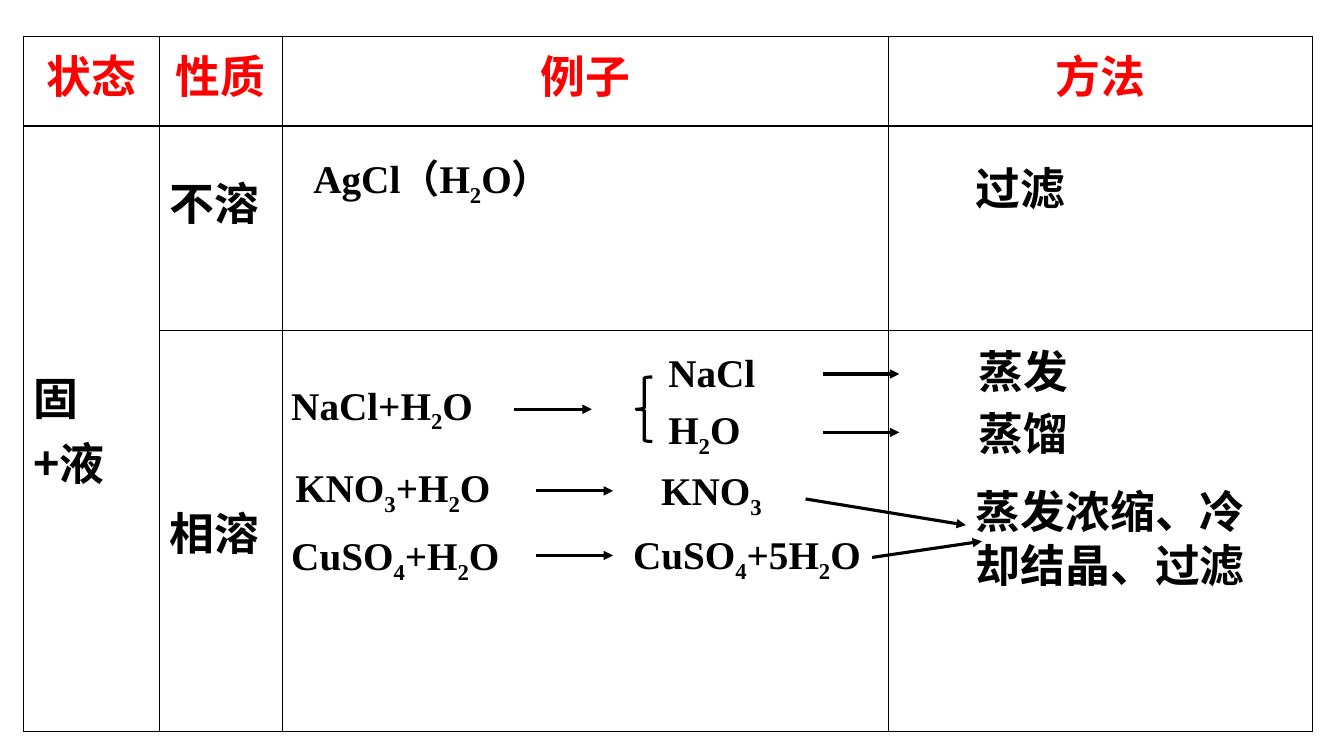
from lxml.etree import SubElement
from pptx import Presentation
from pptx.dml.color import RGBColor
from pptx.enum.shapes import MSO_CONNECTOR, MSO_SHAPE
from pptx.enum.text import MSO_ANCHOR, MSO_AUTO_SIZE, PP_ALIGN
from pptx.oxml.ns import qn
from pptx.util import Inches, Pt

BLACK = RGBColor(0, 0, 0)
RED = RGBColor(255, 0, 0)
SANS = "Noto Sans CJK SC"
SERIF = "Times New Roman"

HEADS = ["状态", "性质", "例子", "方法"]
COLS = [1.35, 1.22, 6.01, 4.21]
ROWS = [0.89, 2.03, 3.98]
LABELS = [(1, 0, "固+液", 0.05), (1, 1, "不溶", 0.6), (2, 1, "相溶", 0.05)]

FORMULAS = [
    ("AgCl（H_2O）", 3.01, 1.48, 2.69),
    ("NaCl+H_2O", 2.79, 3.73, 2.69),
    ("KNO_3+H_2O", 2.83, 4.55, 2.69),
    ("CuSO_4+H_2O", 2.79, 5.22, 2.69),
    ("NaCl", 6.53, 3.41, 1.07),
    ("H_2O", 6.53, 3.97, 0.94),
    ("KNO_3", 6.46, 4.58, 1.23),
    ("CuSO_4+5H_2O", 6.18, 5.21, 2.98),
]
METHODS = [
    ("过滤", 9.58, 1.54, 1.1, 0.64, SERIF),
    ("蒸发", 9.61, 3.36, 1.1, 0.64, SERIF),
    ("蒸馏", 9.61, 3.97, 1.1, 0.64, SERIF),
    ("蒸发浓缩、冷却结晶、过滤", 9.58, 4.74, 2.88, 1.18, SANS),
]
ARROWS = [
    (5.1, 4.06, 5.87, 4.06),
    (5.32, 4.87, 6.08, 4.87),
    (5.32, 5.51, 6.08, 5.51),
    (8.16, 3.71, 8.92, 3.71),
    (8.16, 4.29, 8.92, 4.29),
    (7.99, 4.95, 9.58, 5.21),
    (8.65, 5.53, 9.74, 5.37),
]


def style(para, size, name, color=BLACK):
    """Set the bold font of a paragraph."""
    font = para.font
    font.size, font.name, font.bold = Pt(size), name, True
    font.color.rgb = color


def border(cell):
    """Draw a thin black line on each side of a cell."""
    props = cell._tc.get_or_add_tcPr()
    for at, side in enumerate(["lnL", "lnR", "lnT", "lnB"]):
        line = props.makeelement(qn(f"a:{side}"), {"w": str(Pt(1))})
        fill = SubElement(line, qn("a:solidFill"))
        SubElement(fill, qn("a:srgbClr"), val=str(BLACK))
        props.insert(at, line)


def add_grid(slide):
    """Add the table with its heads and row labels."""
    frame = slide.shapes.add_table(
        len(ROWS), len(COLS), Inches(0.23), Inches(0.36),
        Inches(sum(COLS)), Inches(sum(ROWS)))
    grid = frame.table
    for col, width in zip(grid.columns, COLS):
        col.width = Inches(width)
    for row, height in zip(grid.rows, ROWS):
        row.height = Inches(height)
    for cell in grid.iter_cells():
        cell.fill.background()
        border(cell)
    grid.cell(1, 0).merge(grid.cell(2, 0))
    for col, head in enumerate(HEADS):
        cell = grid.cell(0, col)
        cell.text = head
        para = cell.text_frame.paragraphs[0]
        para.alignment = PP_ALIGN.CENTER
        style(para, 32, SANS, RED)
    for row, col, label, base in LABELS:
        cell = grid.cell(row, col)
        cell.text = label
        cell.vertical_anchor = MSO_ANCHOR.MIDDLE
        cell.margin_bottom = Inches(base)
        style(cell.text_frame.paragraphs[0], 32, SANS)


def add_text(slide, text, left, top, width, height, size, name):
    """Add a text box where a mark lowers the next character."""
    box = slide.shapes.add_textbox(*map(Inches, (left, top, width, height)))
    frame = box.text_frame
    frame.word_wrap = width > 2
    frame.auto_size = MSO_AUTO_SIZE.SHAPE_TO_FIT_TEXT
    para = frame.paragraphs[0]
    first, *rest = text.split("_")
    para.add_run().text = first
    for part in rest:
        low = para.add_run()
        low.text = part[0]
        low._r.get_or_add_rPr().set("baseline", "-25000")
        if part[1:]:
            para.add_run().text = part[1:]
    style(para, size, name)
    return frame


def add_arrow(slide, *ends):
    """Add a straight arrow between two points."""
    arrow = slide.shapes.add_connector(
        MSO_CONNECTOR.STRAIGHT, *map(Inches, ends))
    arrow.line.width = Pt(2.25)
    arrow.line.color.rgb = BLACK
    SubElement(arrow.line._get_or_add_ln(), qn("a:tailEnd"), type="triangle")
    SubElement(arrow._element.spPr, qn("a:effectLst"))


def add_brace(slide):
    """Add the brace that joins the two products."""
    brace = slide.shapes.add_shape(
        MSO_SHAPE.LEFT_BRACE, *map(Inches, (6.31, 3.74, 0.16, 0.64)))
    brace.shadow.inherit = False
    brace.fill.background()
    brace.line.color.rgb = BLACK
    brace.line.width = Pt(2.25)


def main():
    """Build the slide and save it."""
    deck = Presentation()
    deck.slide_width, deck.slide_height = Inches(13.33), Inches(7.5)
    slide = deck.slides.add_slide(deck.slide_layouts[6])
    add_grid(slide)
    for text, left, top, width in FORMULAS:
        add_text(slide, text, left, top, width, 0.57, 28, SERIF)
    for text, left, top, width, height, name in METHODS:
        frame = add_text(slide, text, left, top, width, height, 32, name)
        frame.vertical_anchor = MSO_ANCHOR.MIDDLE
    add_brace(slide)
    for ends in ARROWS:
        add_arrow(slide, *ends)
    deck.save("out.pptx")


if __name__ == "__main__":
    main()
